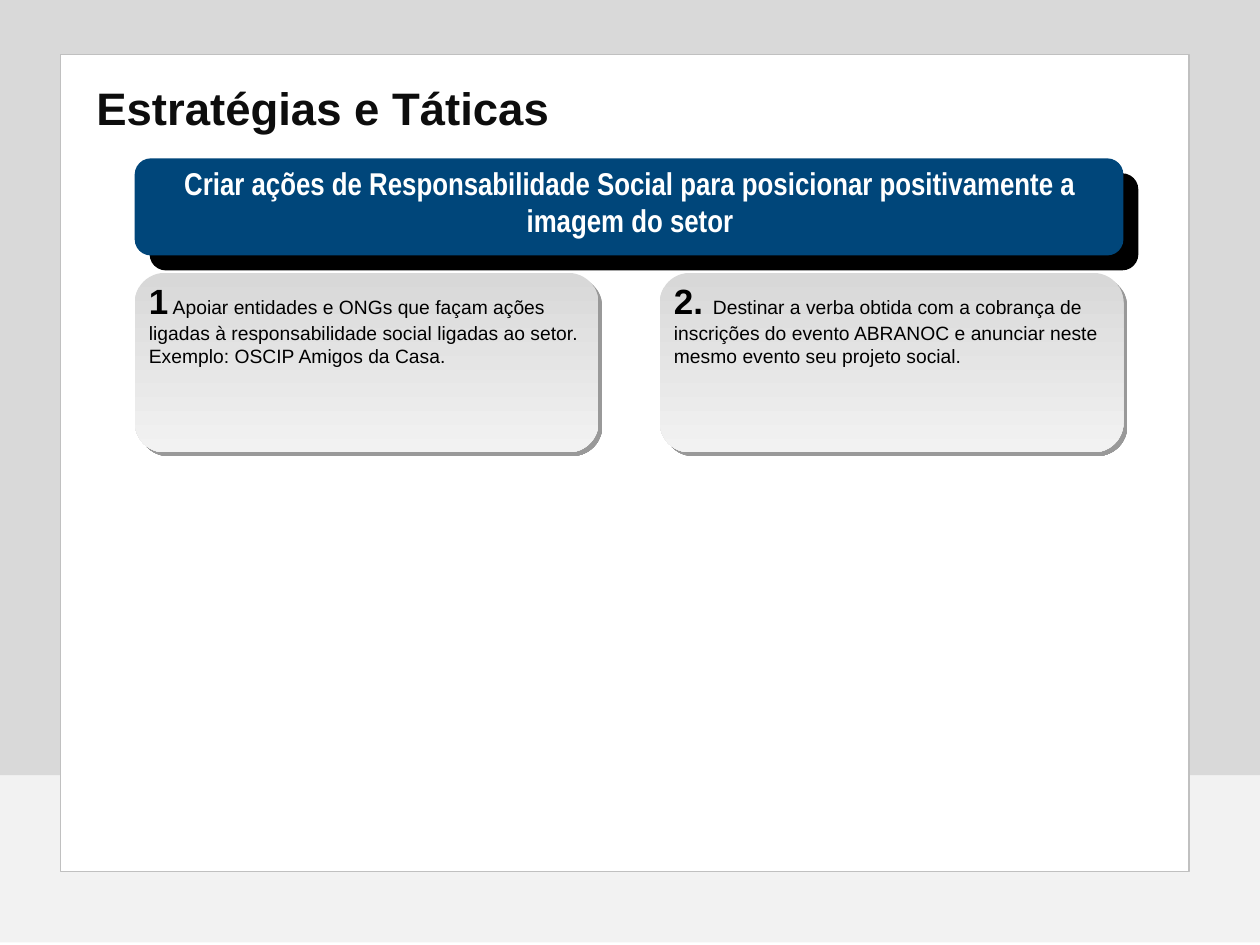
from lxml.etree import SubElement
from pptx import Presentation
from pptx.dml.color import RGBColor
from pptx.enum.shapes import MSO_SHAPE
from pptx.enum.text import MSO_AUTO_SIZE, PP_ALIGN
from pptx.oxml.ns import qn
from pptx.util import Pt

COLORS = {
    "upper": "D9D9D9",
    "lower": "F2F2F2",
    "white": "FFFFFF",
    "border": "C0C0C0",
    "title": "0D0D0D",
    "black": "000000",
    "banner": "00467A",
    "card_top": "D8D8D8",
    "card_bottom": "F2F2F2",
}

TACTICS = [
    ("1", " Apoiar entidades e ONGs que façam ações ligadas à responsabilidade social "
          "ligadas ao setor. Exemplo: OSCIP Amigos da Casa."),
    ("2. ", "Destinar a verba obtida com a cobrança de inscrições do evento ABRANOC "
            "e anunciar neste mesmo evento seu projeto social."),
]


def color(name):
    return RGBColor.from_string(COLORS[name])


def add_panel(shapes, box, fill=None, line=None, kind=MSO_SHAPE.RECTANGLE):
    shape = shapes.add_shape(kind, *map(Pt, box))
    shape.shadow.inherit = False
    if fill:
        shape.fill.solid()
        shape.fill.fore_color.rgb = color(fill)
    if line:
        shape.line.color.rgb = color(line)
        shape.line.width = Pt(0.75)
    else:
        shape.line.fill.background()
    return shape


def add_shadow(shape, distance, opacity):
    effects = shape._element.spPr.find(qn("a:effectLst"))
    shadow = SubElement(effects, qn("a:outerShdw"), blurRad="0", dist=str(Pt(distance)),
                        dir="2700000", algn="tl", rotWithShape="0")
    shade = SubElement(shadow, qn("a:srgbClr"), val=COLORS["black"])
    SubElement(shade, qn("a:alpha"), val=str(opacity * 1000))


def add_run(paragraph, text, size, bold=False, font="Arial", fill="black"):
    run = paragraph.add_run()
    run.text = text
    run.font.size = Pt(size)
    run.font.bold = bold
    run.font.name = font
    run.font.color.rgb = color(fill)


def add_text_box(shapes, box, alignment=PP_ALIGN.LEFT):
    frame = shapes.add_textbox(*map(Pt, box)).text_frame
    frame.word_wrap = True
    frame.auto_size = MSO_AUTO_SIZE.SHAPE_TO_FIT_TEXT
    paragraph = frame.paragraphs[0]
    paragraph.alignment = alignment
    return paragraph


def add_backdrop(slide, width, height):
    shapes = slide.shapes.add_group_shape().shapes
    horizon = 443
    add_panel(shapes, (0, horizon, width, height - horizon - 1.5), "lower")
    add_panel(shapes, (0, 0, width, horizon), "upper")
    add_panel(shapes, (34.5, 31, 645, 467), "white", "border")


def add_title(slide, box, text):
    add_run(add_text_box(slide.shapes, box), text, 26, bold=True, fill="title")


def add_banner(slide, box, text):
    left, top, width, height = box
    shapes = slide.shapes.add_group_shape().shapes
    panel = add_panel(shapes, box, "banner", kind=MSO_SHAPE.ROUNDED_RECTANGLE)
    add_shadow(panel, 12.1, 100)
    paragraph = add_text_box(shapes, (left + 0.5, top - 0.5, width, height - 5), PP_ALIGN.CENTER)
    add_run(paragraph, text, 18, bold=True, font="Arial Narrow", fill="white")


def add_card(slide, box, number, text):
    left, top, width, height = box
    shapes = slide.shapes.add_group_shape().shapes
    panel = add_panel(shapes, box, kind=MSO_SHAPE.ROUNDED_RECTANGLE)
    panel.fill.gradient()
    panel.fill.gradient_angle = 270
    for stop, name in zip(panel.fill.gradient_stops, ("card_top", "card_bottom")):
        stop.color.rgb = color(name)
    add_shadow(panel, 3, 40)
    paragraph = add_text_box(shapes, (left + 1, top, width - 1, 57.5))
    add_run(paragraph, number, 20, bold=True)
    add_run(paragraph, text, 11)


def main():
    presentation = Presentation()
    presentation.slide_width, presentation.slide_height = Pt(720), Pt(540)
    slide = presentation.slides.add_slide(presentation.slide_layouts[6])
    add_backdrop(slide, 720, 540)
    add_title(slide, (48, 42, 624, 39), "Estratégias e Táticas")
    left, width, card_width = 77, 565, 265
    step = width - card_width
    for index, (number, text) in enumerate(TACTICS):
        add_card(slide, (left + index * step, 156, card_width, 102.5), number, text)
    add_banner(slide, (left, 90.5, width, 55.5),
               "Criar ações de Responsabilidade Social para posicionar "
               "positivamente a imagem do setor")
    presentation.save("out.pptx")


if __name__ == "__main__":
    main()
